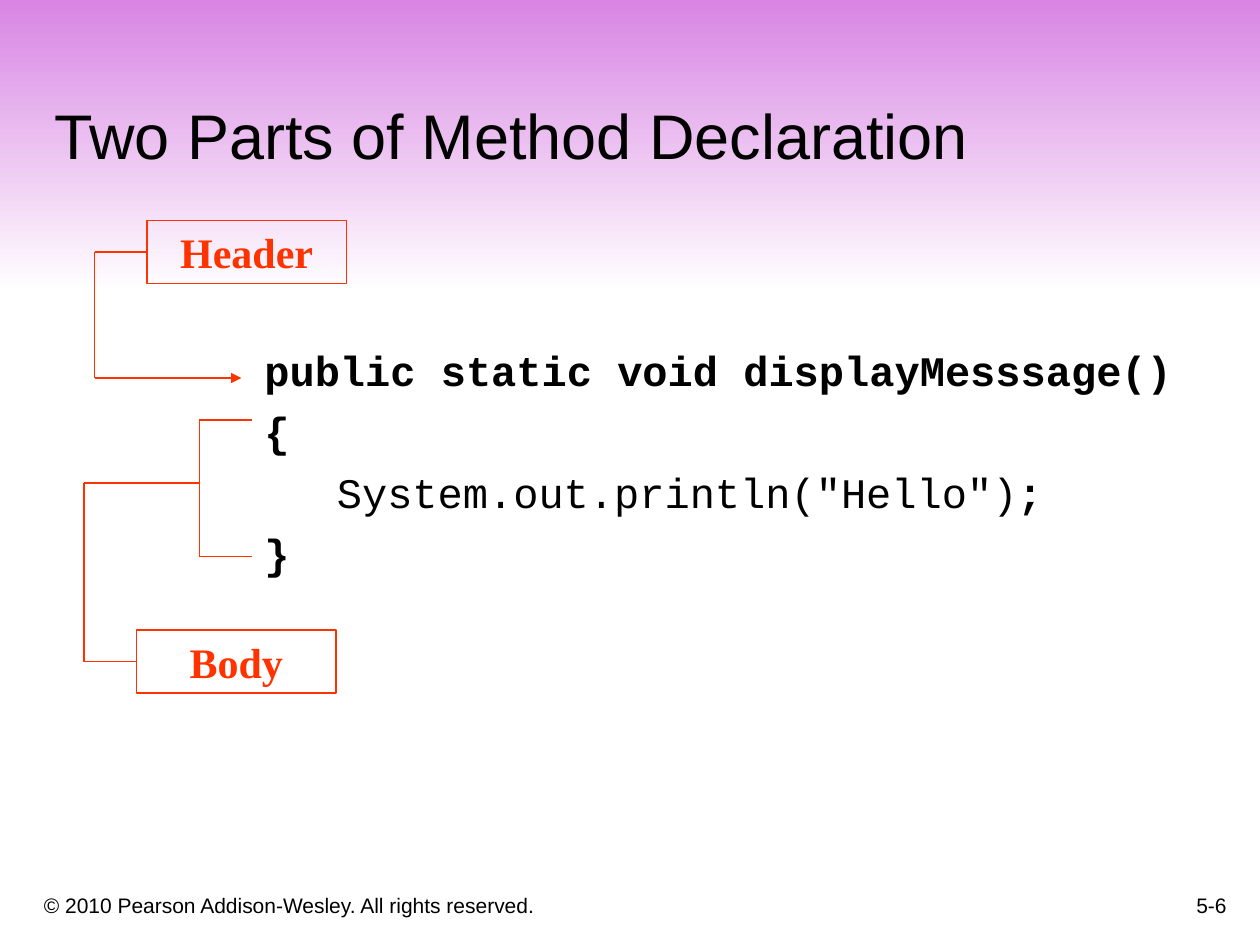
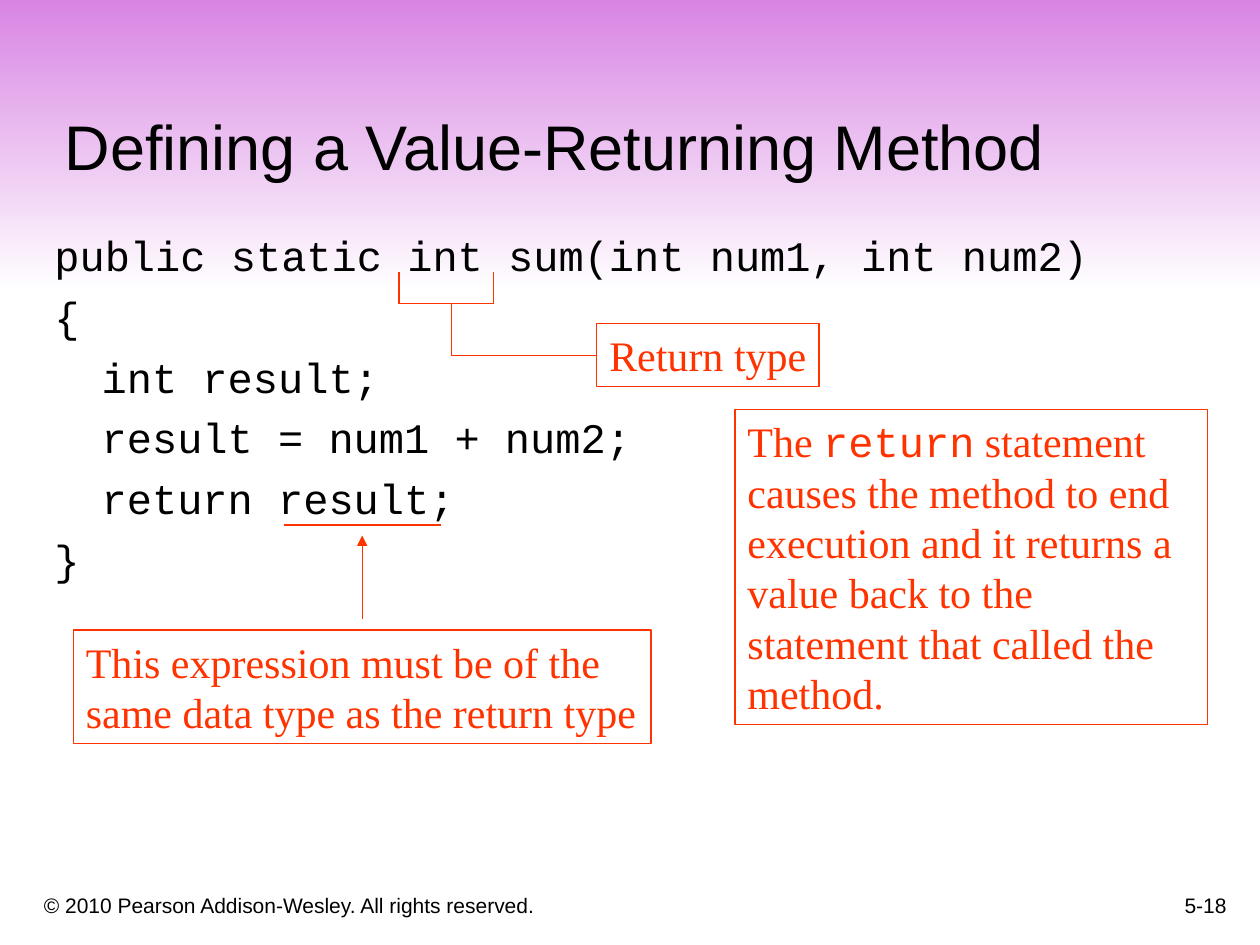
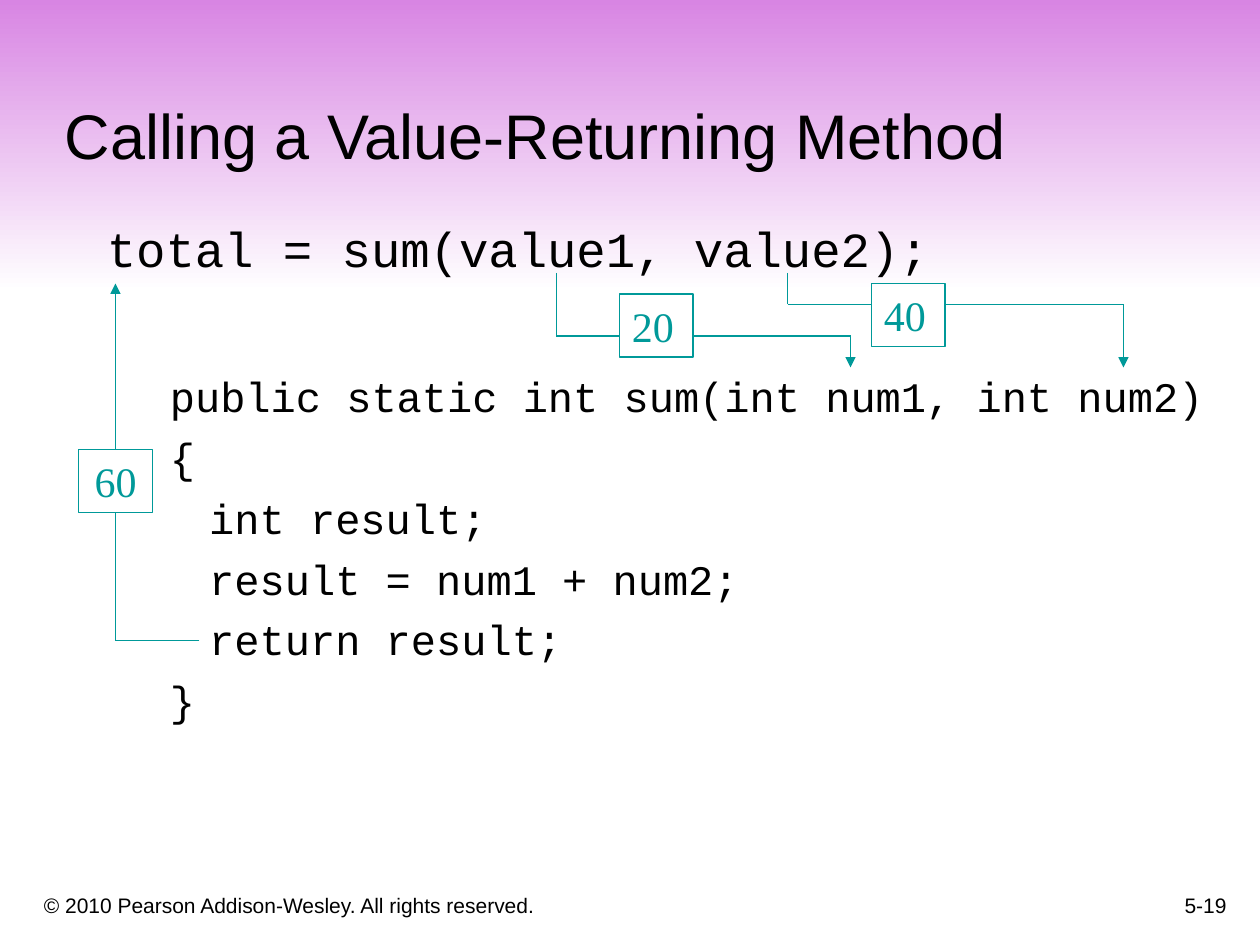
from itertools import pairwise

from lxml import etree
from pptx import Presentation
from pptx.dml.color import RGBColor
from pptx.enum.shapes import MSO_CONNECTOR, MSO_SHAPE
from pptx.enum.text import MSO_ANCHOR, PP_ALIGN
from pptx.oxml.ns import qn
from pptx.util import Pt

RECTANGLE = MSO_SHAPE.RECTANGLE
STRAIGHT = MSO_CONNECTOR.STRAIGHT
LEFT, CENTER, RIGHT = PP_ALIGN.LEFT, PP_ALIGN.CENTER, PP_ALIGN.RIGHT
TOP, BOTTOM = MSO_ANCHOR.TOP, MSO_ANCHOR.BOTTOM
TOP_SIDE, LEFT_SIDE, BOTTOM_SIDE = 0, 1, 2

WIDTH, HEIGHT = 720, 540
BLACK, WHITE, ORCHID, RED, TEAL = "000000", "FFFFFF", "D885E3", "FF3300", "009999"
SANS, SERIF, MONO = "Arial", "Times New Roman", "Courier New"
COPYRIGHT = "© 2010 Pearson Addison-Wesley. All rights reserved."
SUM_BODY = ["{", "\tint result;", "\tresult = num1 + num2;", "\treturn result;", "}"]
SUM_METHOD = ["public static int sum(int num1, int num2)"] + SUM_BODY


def rgb(value):
    """Turn a hex string into a colour."""
    return RGBColor.from_string(value)


def add_span(para, text, size, font, color=BLACK, bold=False):
    """Add one formatted run to a paragraph."""
    span = para.add_run()
    span.text = text
    span.font.size = Pt(size)
    span.font.name = font
    span.font.bold = bold
    span.font.color.rgb = rgb(color)


def set_frame(shape, anchor=TOP, top_inset=3.6, right_inset=7.2):
    """Prepare the text frame of a shape and return it."""
    frame = shape.text_frame
    frame.word_wrap = True
    frame.vertical_anchor = anchor
    frame.margin_left, frame.margin_right = Pt(7.2), Pt(right_inset)
    frame.margin_top, frame.margin_bottom = Pt(top_inset), Pt(3.6)
    return frame


def add_label(page, left, top, width, height, text, size, align=LEFT):
    """Add a bottom-anchored line of sans-serif text."""
    box = page.shapes.add_textbox(Pt(left), Pt(top), Pt(width), Pt(height))
    para = set_frame(box, BOTTOM).paragraphs[0]
    para.alignment = align
    add_span(para, text, size, SANS)


def add_page(deck, title, title_box, number):
    """Add a page with the fading band, footer and title."""
    page = deck.slides.add_slide(deck.slide_layouts[6])
    band = page.shapes.add_shape(RECTANGLE, 0, 0, Pt(WIDTH), Pt(167))
    band.shadow.inherit = False
    band.line.fill.background()
    band.fill.gradient()
    band.fill.gradient_angle = 270
    for stop, position, color in zip(band.fill.gradient_stops, (0, 1), (ORCHID, WHITE)):
        stop.position = position
        stop.color.rgb = rgb(color)
    add_label(page, 18, 498, 438, 30, COPYRIGHT, 12)
    add_label(page, 558, 492, 150, 36, number, 12, RIGHT)
    add_label(page, *title_box, title, 36)
    return page


def add_code_line(para, spans, size, margin):
    """Fill a paragraph with code, given as (text, bold) spans."""
    para.line_spacing = Pt(size * 1.2)
    properties = para._p.get_or_add_pPr()
    properties.set("marL", str(Pt(margin)))
    properties.set("indent", "0")
    for text, bold in spans:
        add_span(para, text, size, MONO, bold=bold)


def add_code(page, left, top, width, height, lines, margin=0, step=27, call=None):
    """Add a code listing, with an optional larger call above it."""
    box = page.shapes.add_textbox(Pt(left), Pt(top), Pt(width), Pt(height))
    frame = set_frame(box, top_inset=5, right_inset=0)
    para = frame.paragraphs[0]
    if call:
        add_code_line(para, [(call, False)], 28, 0)
        para = frame.add_paragraph()
        para.space_before = Pt(53)
    for index, line in enumerate(lines):
        if index:
            para = frame.add_paragraph()
            para.space_before = Pt(6)
        spans = [(line, False)] if isinstance(line, str) else line
        first, bold = spans[0]
        indent = step if first.startswith("\t") else 0
        spans = [(first.removeprefix("\t"), bold)] + spans[1:]
        add_code_line(para, spans, 24, margin + indent)


def add_note(page, left, top, width, height, spans, color, align=LEFT, bold=False, wrap=True):
    """Add an outlined note whose spans are (text, font) pairs."""
    box = page.shapes.add_shape(RECTANGLE, Pt(left), Pt(top), Pt(width), Pt(height))
    box.shadow.inherit = False
    box.fill.background()
    box.line.color.rgb = rgb(color)
    box.line.width = Pt(0.75)
    frame = set_frame(box)
    frame.word_wrap = wrap
    para = frame.paragraphs[0]
    para.alignment = align
    para.line_spacing = Pt(28.8)
    for text, font in spans:
        add_span(para, text, 24, font, color, bold)
    return box


def add_route(page, left, top, points, color, arrow=False, start=None, end=None):
    """Join points with straight lines; start and end are (box, side) pairs."""
    lines = []
    for (x1, y1), (x2, y2) in pairwise(points):
        line = page.shapes.add_connector(
            STRAIGHT, Pt(left + x1), Pt(top + y1), Pt(left + x2), Pt(top + y2))
        line.line.color.rgb = rgb(color)
        line.line.width = Pt(0.75)
        etree.SubElement(line._element.spPr, qn("a:effectLst"))
        lines.append(line)
    if start:
        lines[0].begin_connect(*start)
    if end:
        lines[-1].end_connect(*end)
    if arrow:
        outline = lines[-1].line._get_or_add_ln()
        etree.SubElement(outline, qn("a:tailEnd"), type="triangle")


def draw_method_parts(page, left, top):
    """Draw a method with its header and body marked."""
    add_code(page, left + 96, top + 66, 546, 168, [
        [("public static void displayMesssage()", True)],
        [("{", True)],
        [("\t System.out.println(\"Hello\")", False), (";", True)],
        [("}", True)],
    ])
    header, body = [
        add_note(page, left + x, top + y, 114, 36, [(name, SERIF)], RED, CENTER, True)
        for name, x, y in (("Header", 36, 0), ("Body", 30, 234))]
    add_route(page, left, top, [(96, 114), (66, 114), (66, 192), (96, 192)], RED)
    add_route(page, left, top, [(66, 150), (0, 150), (0, 252), (30, 252)], RED,
              end=(body, LEFT_SIDE))
    add_route(page, left, top, [(36, 18), (6, 18), (6, 90), (90, 90)], RED,
              arrow=True, start=(header, LEFT_SIDE))


def draw_definition(page, left, top):
    """Draw the sum method with notes on its return type and value."""
    add_code(page, left, top, 653, 360, SUM_METHOD)
    return_type = add_note(page, left + 317, top + 59, 127, 36,
                           [("Return type", SERIF)], RED, CENTER, wrap=False)
    add_note(page, left + 18, top + 234, 330, 65,
             [("This expression must be of the same data type as the return type", SERIF)], RED)
    add_note(page, left + 396, top + 108, 270, 180, [
        ("The ", SERIF),
        ("return", MONO),
        (" statement causes the method to end execution and it returns a value "
         "back to the statement that called the method.", SERIF),
    ], RED)
    add_route(page, left, top, [(138, 174), (228, 174)], RED)
    add_route(page, left, top, [(183, 228), (183, 180)], RED, arrow=True)
    add_route(page, left, top, [(204, 29.5), (204, 47.5), (258, 47.5), (258, 29.5)], RED)
    add_route(page, left, top, [(234, 47.5), (234, 77), (317, 77)], RED,
              end=(return_type, LEFT_SIDE))


def draw_call(page, left, top):
    """Draw a call of sum with the values that pass in and out."""
    add_code(page, left + 9, top, 657, 372, SUM_METHOD, margin=36, step=22.5,
             call="total = sum(value1, value2);")
    for value, x, y, level, source, target in (
            ("20", 309, 48, 72, 273, 441), ("40", 453, 42, 54, 405, 597)):
        add_note(page, left + x, top + y, 42, 36, [(value, SERIF)], TEAL)
        add_route(page, left, top, [(source, 36), (source, level), (x, level)], TEAL)
        add_route(page, left, top, [(x + 42, level), (target, level), (target, 90)], TEAL,
                  arrow=True)
    result = add_note(page, left, top + 137, 42, 36, [("60", SERIF)], TEAL, CENTER)
    add_route(page, left, top, [(69, 246), (21, 246), (21, 173)], TEAL,
              end=(result, BOTTOM_SIDE))
    add_route(page, left, top, [(21, 137), (21, 42)], TEAL, arrow=True,
              start=(result, TOP_SIDE))


def main():
    """Build and save the deck."""
    deck = Presentation()
    deck.slide_width, deck.slide_height = Pt(WIDTH), Pt(HEIGHT)
    page = add_page(deck, "Two Parts of Method Declaration", (24, 24, 678, 78), "5-6")
    draw_method_parts(page, 48, 126)
    page = add_page(deck, "Defining a Value-Returning Method", (30, 18, 612, 90), "5-18")
    draw_definition(page, 24, 126)
    page = add_page(deck, "Calling a Value-Returning Method", (30, 12, 612, 90), "5-19")
    draw_call(page, 45, 120)
    deck.save("out.pptx")


if __name__ == "__main__":
    main()
